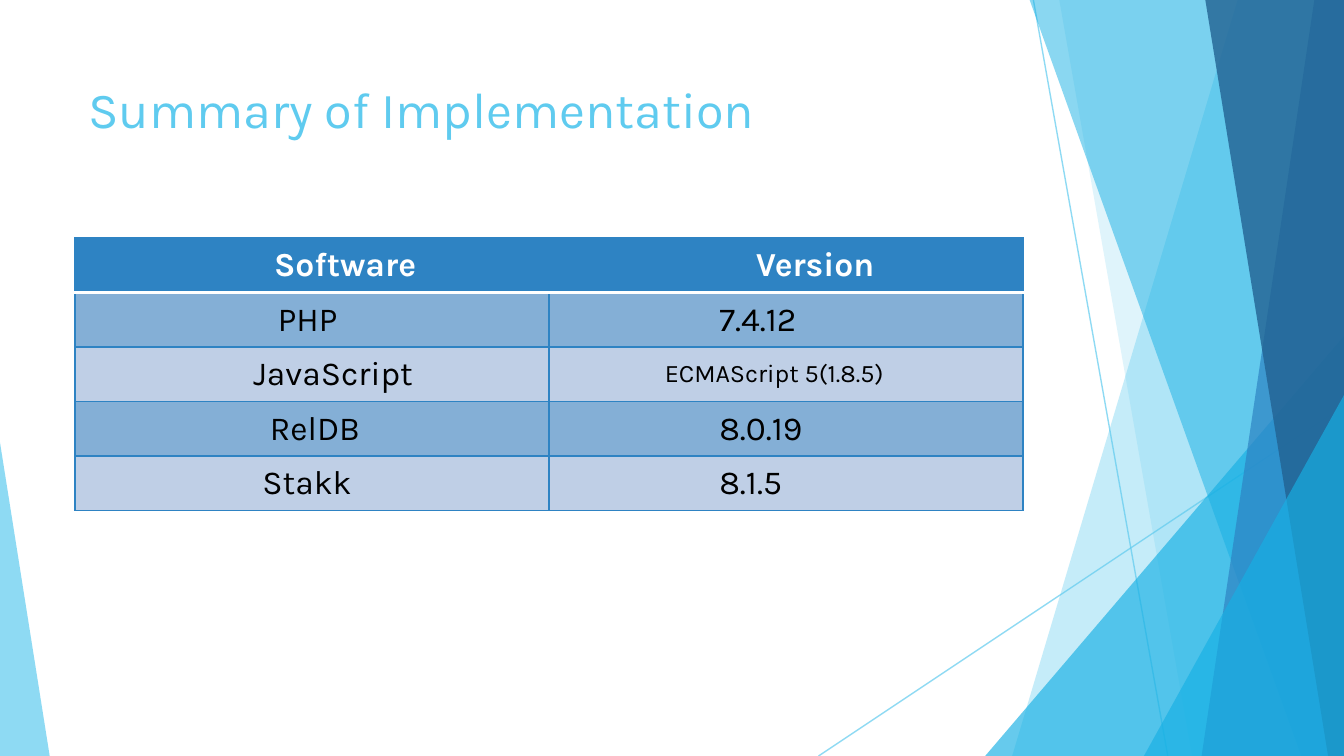
from lxml.etree import SubElement
from pptx import Presentation
from pptx.dml.color import RGBColor
from pptx.enum.shapes import MSO_CONNECTOR, MSO_SHAPE
from pptx.enum.text import MSO_ANCHOR
from pptx.oxml import parse_xml
from pptx.oxml.ns import nsdecls, qn
from pptx.util import Cm, Pt

THEME = {
    "font": "Karla",
    "sky": "5FCBEF", "cyan": "17B0E4", "blue": "2E83C3", "navy": "226292",
    "white": "FFFFFF", "black": "000000",
    "bands": ("84AFD6", "BFCFE6"),
    "title_size": 27, "table_size": 18, "small_size": 13.5,
}
SLIDE_W, SLIDE_H = 25.4, 14.29

TITLE = "Summary of Implementation"
TITLE_BOX = (1.42, 1.27, 17.91, 2.74)

# Each cell: wording, indent in cm
SOFTWARE_ROWS = [
    (("Software", 3.76), ("Version", 3.91)),
    (("PHP", 3.83), ("7.4.12", 3.22)),
    (("JavaScript", 3.37), ("ECMAScript 5(1.8.5)", 2.19)),
    (("RelDB", 3.68), ("8.0.19", 3.22)),
    (("Stakk", 3.54), ("8.1.5", 3.22)),
]
SMALL_CELL = (2, 1)
TABLE_LEFT, TABLE_TOP, TABLE_WIDTH, ROW_HEIGHT = 1.42, 4.5, 17.91, 1.03

RAYS = [((19.53, 0), (22.07, SLIDE_H)), ((SLIDE_W, 7.67), (15.47, SLIDE_H))]

# Facets from back to front.
# "band": left edge at the top, left edge at the bottom; runs to the right edge
# "corner": left, top, width, apex position; stands on the bottom edge
FACETS = [
    ("band", (23.39, 19.13), "sky", 36),
    ("band", (20.02, 22.53), "sky", 20),
    ("corner", (18.62, 6.35, 6.78, 1), "cyan", 66),
    ("band", (19.46, 24.59), "cyan", 50),
    ("band", (24.84, 22.71), "blue", 70),
    ("band", (22.78, 25.1), "navy", 80),
    ("corner", (21.62, 7.47, 3.78, 1), "cyan", 66),
    ("corner", (0, 8.36, 0.94, 0), "sky", 70),
]


def rgb(colour):
    return RGBColor.from_string(THEME.get(colour, colour))


def set_opacity(shape, percent):
    for colour in shape._element.spPr.iter(qn("a:srgbClr")):
        SubElement(colour, qn("a:alpha"), val=str(percent * 1000))


def style_runs(paragraph, size, colour, bold=False):
    for run in paragraph.runs:
        run.font.name = THEME["font"]
        run.font.size = Pt(size)
        run.font.bold = bold
        run.font.color.rgb = rgb(colour)


def add_ray(slide, start, end):
    ray = slide.shapes.add_connector(
        MSO_CONNECTOR.STRAIGHT, *(Cm(v) for v in start + end))
    ray.line.color.rgb = rgb("sky")
    ray.line.width = Pt(0.75)
    set_opacity(ray, 70)
    SubElement(ray._element.spPr, qn("a:effectLst"))


def add_band(slide, top_x, bottom_x):
    outline = slide.shapes.build_freeform(Cm(top_x), Cm(0))
    corners = [(SLIDE_W, 0), (SLIDE_W, SLIDE_H), (bottom_x, SLIDE_H)]
    outline.add_line_segments([(Cm(x), Cm(y)) for x, y in corners])
    return outline.convert_to_shape()


def add_corner(slide, left, top, width, apex):
    corner = slide.shapes.add_shape(
        MSO_SHAPE.ISOSCELES_TRIANGLE,
        Cm(left), Cm(top), Cm(width), Cm(SLIDE_H - top))
    corner.adjustments[0] = apex
    return corner


def add_backdrop(slide):
    for start, end in RAYS:
        add_ray(slide, start, end)
    builders = {"band": add_band, "corner": add_corner}
    for kind, geometry, colour, opacity in FACETS:
        facet = builders[kind](slide, *geometry)
        facet.shadow.inherit = False
        facet.fill.solid()
        facet.fill.fore_color.rgb = rgb(colour)
        facet.line.fill.background()
        set_opacity(facet, opacity)


def add_title(slide):
    frame = slide.shapes.add_textbox(*(Cm(v) for v in TITLE_BOX)).text_frame
    frame.word_wrap = True
    frame.margin_top = Cm(0.2)
    frame.text = TITLE
    style_runs(frame.paragraphs[0], THEME["title_size"], "sky")


def set_borders(cell, row):
    """Blue rules all round, with a white one below the header."""
    edges = {side: ("blue", 1) for side in ("lnL", "lnR", "lnT", "lnB")}
    if row < 2:
        edges["lnB" if row == 0 else "lnT"] = ("white", 1.5)
    properties = cell._tc.get_or_add_tcPr()
    for place, (side, (colour, width)) in enumerate(edges.items()):
        properties.insert(place, parse_xml(
            f'<a:{side} {nsdecls("a")} w="{Pt(width)}"><a:solidFill>'
            f'<a:srgbClr val="{THEME[colour]}"/></a:solidFill></a:{side}>'))


def add_software_table(slide):
    row_count, column_count = len(SOFTWARE_ROWS), len(SOFTWARE_ROWS[0])
    table = slide.shapes.add_table(
        row_count, column_count, Cm(TABLE_LEFT), Cm(TABLE_TOP),
        Cm(TABLE_WIDTH), Cm(ROW_HEIGHT * row_count)).table
    for r, entries in enumerate(SOFTWARE_ROWS):
        for c, (wording, indent) in enumerate(entries):
            header = r == 0
            cell = table.cell(r, c)
            cell.text_frame.text = wording
            cell.margin_left = Cm(indent)
            cell.vertical_anchor = MSO_ANCHOR.MIDDLE
            cell.fill.solid()
            cell.fill.fore_color.rgb = rgb(
                "blue" if header else THEME["bands"][(r - 1) % 2])
            size = "small_size" if (r, c) == SMALL_CELL else "table_size"
            style_runs(cell.text_frame.paragraphs[0], THEME[size],
                       "white" if header else "black", bold=header)
            set_borders(cell, r)


def main():
    deck = Presentation()
    deck.slide_width, deck.slide_height = Cm(SLIDE_W), Cm(SLIDE_H)
    slide = deck.slides.add_slide(deck.slide_layouts[6])
    add_backdrop(slide)
    add_title(slide)
    add_software_table(slide)
    deck.save("out.pptx")


if __name__ == "__main__":
    main()
